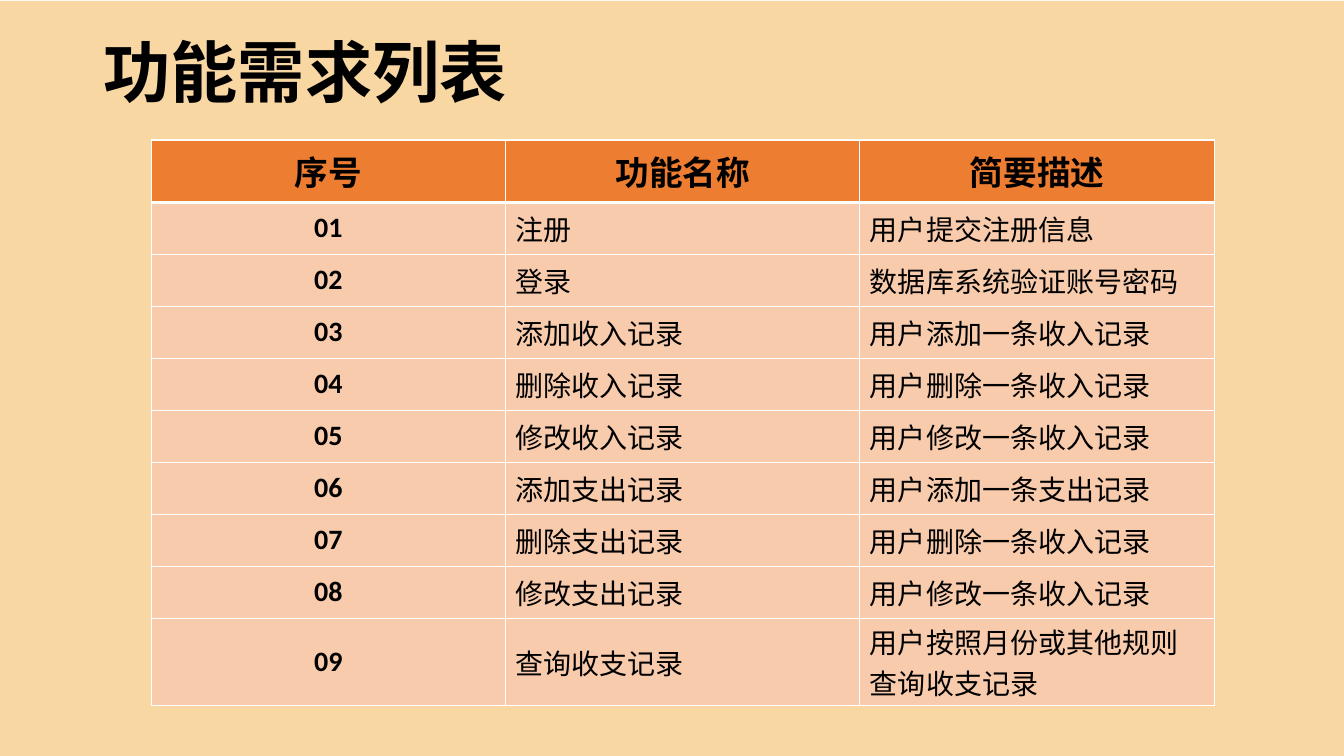
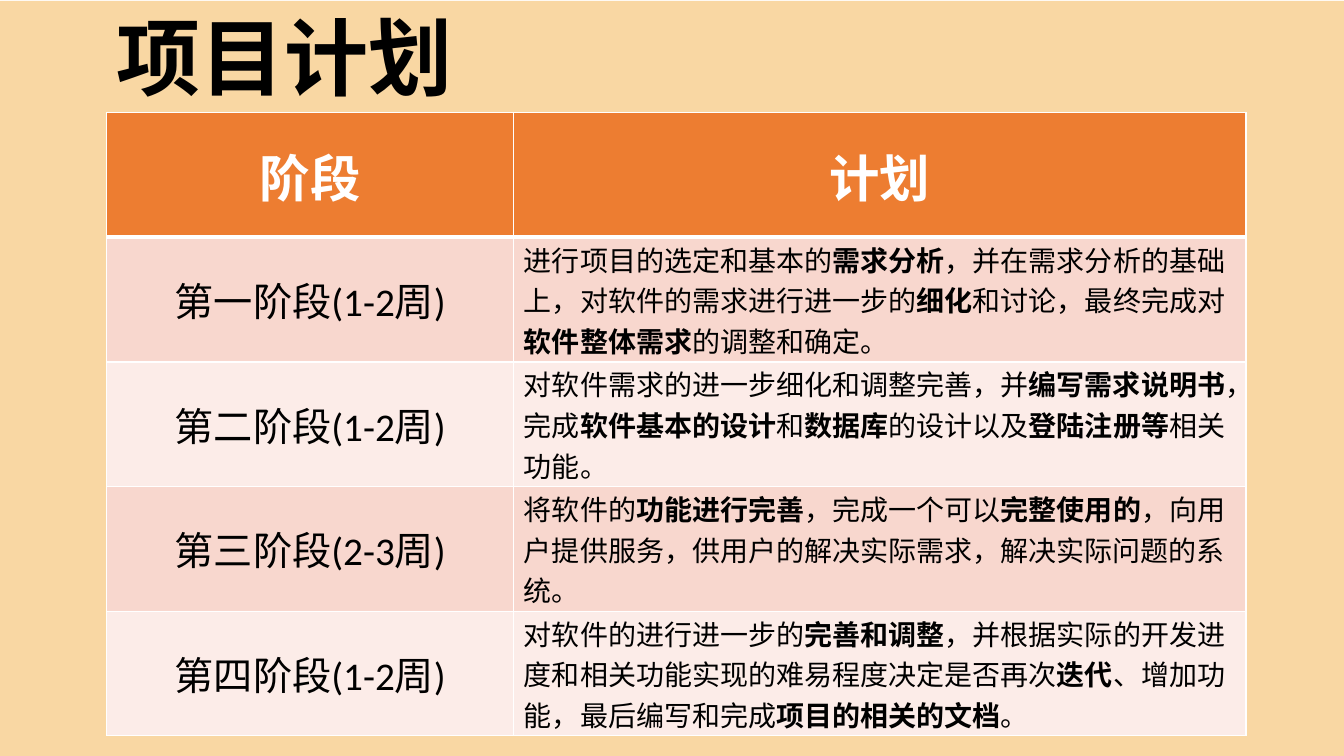
from lxml.etree import SubElement
from pptx import Presentation
from pptx.dml.color import RGBColor
from pptx.enum.lang import MSO_LANGUAGE_ID
from pptx.enum.shapes import MSO_SHAPE
from pptx.enum.text import MSO_ANCHOR, PP_ALIGN
from pptx.oxml import parse_xml
from pptx.oxml.ns import nsdecls, qn
from pptx.util import Cm, Pt

COLORS = {
    "background": "F9D7A3",
    "header": "ED7D31",
    "feature": "F8CBAD",
    "band_dark": "F8D7CE",
    "band_light": "FCECE8",
    "text": "000000",
    "white": "FFFFFF",
}
CJK_FONT = "Noto Sans CJK SC"
SLIDE_WIDTH, SLIDE_HEIGHT = Cm(33.87), Cm(19.05)
THIN, THICK = Pt(1), Pt(3)

FEATURES = [
    ("注册", "用户提交注册信息"),
    ("登录", "数据库系统验证账号密码"),
    ("添加收入记录", "用户添加一条收入记录"),
    ("删除收入记录", "用户删除一条收入记录"),
    ("修改收入记录", "用户修改一条收入记录"),
    ("添加支出记录", "用户添加一条支出记录"),
    ("删除支出记录", "用户删除一条收入记录"),
    ("修改支出记录", "用户修改一条收入记录"),
    ("查询收支记录", "用户按照月份或其他规则查询收支记录"),
]
PHASES = [
    ("第一阶段(1-2周)",
     "进行项目的选定和基本的*需求分析*，并在需求分析的基础上，对软件的需求进行进一步的"
     "*细化*和讨论，最终完成对*软件整体需求*的调整和确定。"),
    ("第二阶段(1-2周)",
     "对软件需求的进一步细化和调整完善，并*编写需求说明书*，完成*软件基本的设计*和"
     "*数据库*的设计以及*登陆注册等*相关功能。"),
    ("第三阶段(2-3周)",
     "将软件的*功能进行完善*，完成一个可以*完整使用的*，向用户提供服务，"
     "供用户的解决实际需求，解决实际问题的系统。"),
    ("第四阶段(1-2周)",
     "对软件的进行进一步的*完善和调整*，并根据实际的开发进度和相关功能实现的难易程度"
     "决定是否再次*迭代*、增加功能，最后编写和完成*项目的相关的文档*。"),
]


def text_style(size, name="Lato", bold=False, color="text", align=PP_ALIGN.LEFT):
    font = {"size": Pt(size), "name": name, "bold": bold,
            "language_id": MSO_LANGUAGE_ID.SIMPLIFIED_CHINESE}
    return {"font": font, "color": color, "align": align}


def write_text(text_frame, text, style):
    """Write one paragraph; parts between asterisks become bold."""
    paragraph = text_frame.paragraphs[0]
    paragraph.alignment = style["align"]
    for index, part in enumerate(text.split("*")):
        run = paragraph.add_run()
        run.text = part
        for attribute, value in style["font"].items():
            setattr(run.font, attribute, value)
        if index % 2:
            run.font.bold = True
        run.font.color.rgb = RGBColor.from_string(COLORS[style["color"]])
        SubElement(run.font._element, qn("a:ea"), typeface=CJK_FONT)


def set_borders(cell, top, bottom):
    properties = cell._tc.get_or_add_tcPr()
    widths = {"lnL": THIN, "lnR": THIN, "lnT": top, "lnB": bottom}
    for index, (tag, width) in enumerate(widths.items()):
        properties.insert(index, parse_xml(
            f'<a:{tag} {nsdecls("a")} w="{int(width)}"><a:solidFill>'
            f'<a:srgbClr val="{COLORS["white"]}"/></a:solidFill></a:{tag}>'))


def add_base_slide(presentation):
    slide = presentation.slides.add_slide(presentation.slide_layouts[6])
    background = slide.shapes.add_shape(
        MSO_SHAPE.RECTANGLE, 0, Cm(0.02), SLIDE_WIDTH, SLIDE_HEIGHT)
    background.shadow.inherit = False
    background.fill.solid()
    background.fill.fore_color.rgb = RGBColor.from_string(COLORS["background"])
    background.line.fill.background()
    return slide


def add_title(slide, text, box, style):
    text_frame = slide.shapes.add_textbox(*box).text_frame
    text_frame.word_wrap = True
    write_text(text_frame, text, style)


def add_grid(slide, corner, widths, heights, rows, header_style, column_styles, bands):
    """Add a table whose body rows cycle through the band colours."""
    table = slide.shapes.add_table(
        len(rows), len(widths), *corner, sum(widths), sum(heights)).table
    table.horz_banding = False
    for column, width in zip(table.columns, widths):
        column.width = width
    for index, (row, height, texts) in enumerate(zip(table.rows, heights, rows)):
        row.height = height
        fill = bands[(index - 1) % len(bands)] if index else "header"
        styles = column_styles if index else [header_style] * len(widths)
        for cell, text, style in zip(row.cells, texts, styles):
            cell.vertical_anchor = MSO_ANCHOR.MIDDLE
            cell.margin_top = cell.margin_bottom = 0
            cell.fill.solid()
            cell.fill.fore_color.rgb = RGBColor.from_string(COLORS[fill])
            set_borders(cell, THICK if index == 1 else THIN, THIN if index else THICK)
            write_text(cell.text_frame, text, style)


def add_feature_slide(presentation):
    slide = add_base_slide(presentation)
    add_title(slide, "功能需求列表", (Cm(2.36), Cm(0.64), Cm(11.35), Cm(2.31)),
              text_style(48, bold=True))
    rows = [("序号", "功能名称", "简要描述")]
    rows += [(f"{number:02}", *feature) for number, feature in enumerate(FEATURES, 1)]
    body = text_style(20)
    add_grid(slide, (Cm(3.81), Cm(3.53)), [Cm(8.93)] * 3,
             [Cm(1.57)] + [Cm(1.31)] * 8 + [Cm(2.2)], rows,
             text_style(24, bold=True, align=PP_ALIGN.CENTER),
             [text_style(20, "Calibri", True, align=PP_ALIGN.CENTER), body, body],
             ["feature"])


def add_plan_slide(presentation):
    slide = add_base_slide(presentation)
    add_title(slide, "项目计划", (Cm(2.69), Cm(0.02), Cm(16.93), Cm(2.82)),
              text_style(60, CJK_FONT, True))
    add_grid(slide, (Cm(2.69), Cm(2.84)), [Cm(10.26), Cm(18.45)], [Cm(3.14)] * 5,
             [("阶段", "计划")] + PHASES,
             text_style(36, "Calibri", True, "white", PP_ALIGN.CENTER),
             [text_style(28, "Calibri", align=PP_ALIGN.CENTER), text_style(20, "Calibri")],
             ["band_dark", "band_light"])


def main():
    presentation = Presentation()
    presentation.slide_width, presentation.slide_height = SLIDE_WIDTH, SLIDE_HEIGHT
    add_feature_slide(presentation)
    add_plan_slide(presentation)
    presentation.save("out.pptx")


if __name__ == "__main__":
    main()
